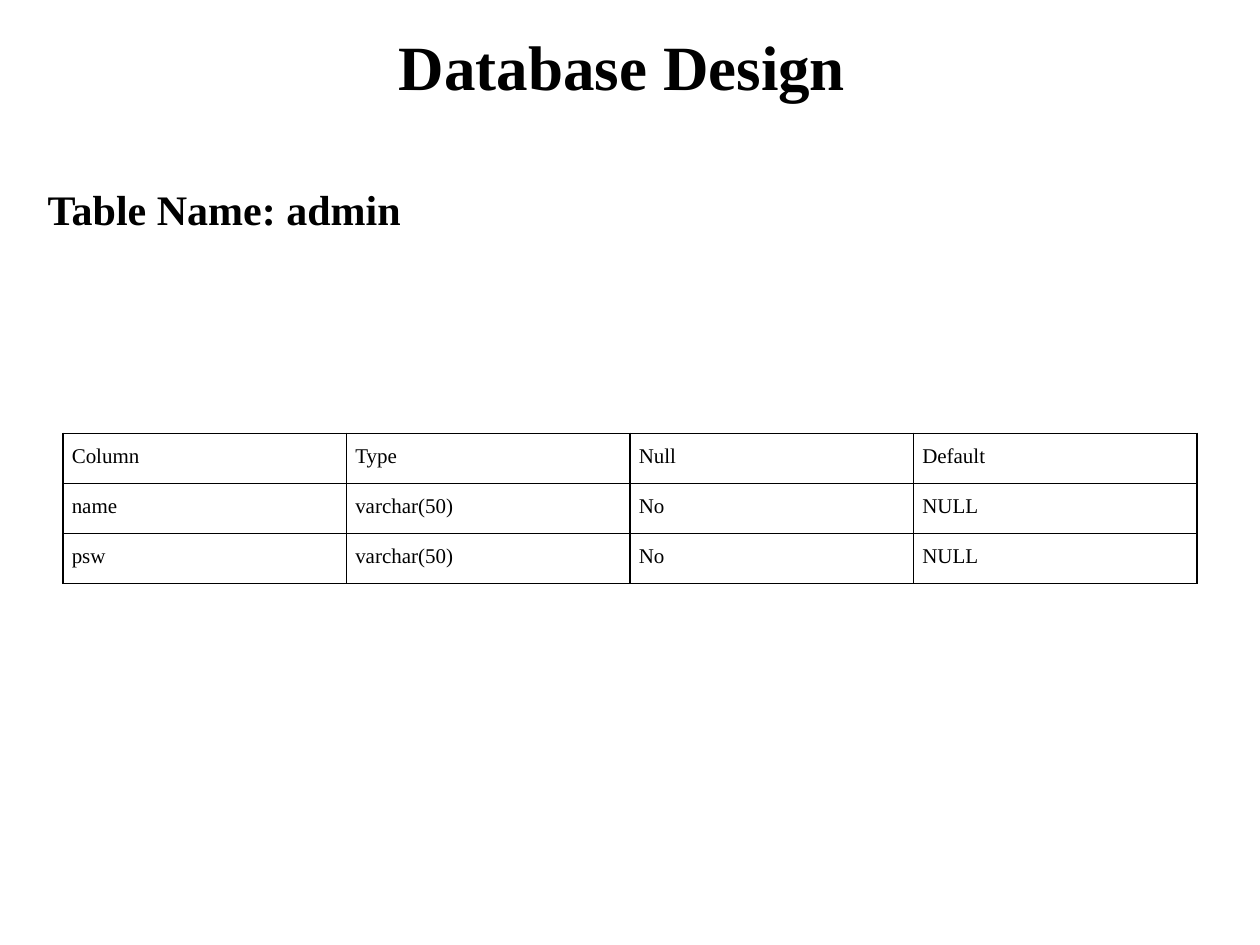
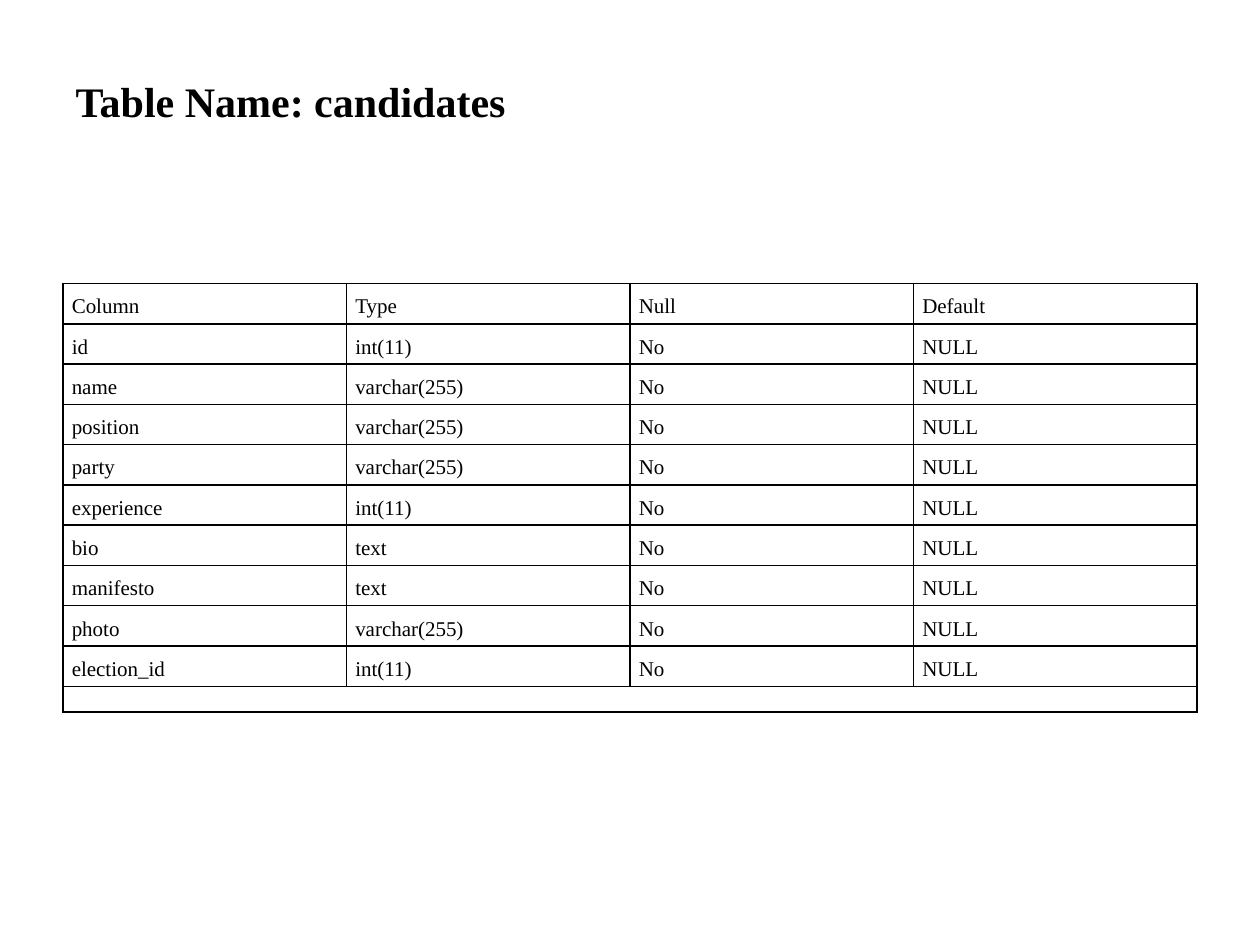
from lxml import etree
from pptx import Presentation
from pptx import util as u
from pptx.dml.color import RGBColor
from pptx.enum import text
from pptx.oxml import ns

# Shared style
FONT = "Times New Roman"
INK = "000000"
COLS, ROWS = 40, 30
HEAD = ["Column", "Type", "Null", "Default"]


def hue(code):
    return RGBColor.from_string(code)


class Deck:
    def __init__(self):
        self.prs = Presentation()
        self.prs.slide_width = u.Inches(10)
        self.prs.slide_height = u.Inches(7.5)
        self.slide = None

    def x(self, cols):
        return round(self.prs.slide_width * cols / COLS)

    def y(self, rows):
        return round(self.prs.slide_height * rows / ROWS)

    def box(self, left, top, wide, high):
        return self.x(left), self.y(top), self.x(wide), self.y(high)

    def page(self):
        self.slide = self.prs.slides.add_slide(self.prs.slide_layouts[5])

    def style(self, frame, words, size, bold, align):
        frame.text = words
        para = frame.paragraphs[0]
        para.alignment = align
        for run in para.runs:
            run.font.name = FONT
            run.font.size = u.Pt(size)
            run.font.bold = bold
            run.font.color.rgb = hue(INK)
        return para

    def title(self, words, area, size, align, anchor):
        shape = self.slide.shapes.title
        shape.left, shape.top, shape.width, shape.height = self.box(*area)
        frame = shape.text_frame
        frame.auto_size = text.MSO_AUTO_SIZE.NONE
        frame.vertical_anchor = anchor
        self.style(frame, words, size, True, align)
        return frame

    def label(self, words, area):
        frame = self.slide.shapes.add_textbox(*self.box(*area)).text_frame
        frame.word_wrap = False
        self.style(frame, words, 24, True, text.PP_ALIGN.LEFT)

    def edge(self, cell):
        props = cell._tc.get_or_add_tcPr()
        for side in "LRTB":
            line = etree.SubElement(props, ns.qn(f"a:ln{side}"), w=str(u.Pt(1)))
            fill = etree.SubElement(line, ns.qn("a:solidFill"))
            etree.SubElement(fill, ns.qn("a:srgbClr"), val=INK)

    def cell(self, cell, words):
        cell.margin_left = cell.margin_right = u.Inches(0.07)
        cell.margin_top = cell.margin_bottom = 0
        self.edge(cell)
        cell.fill.background()
        para = self.style(cell.text_frame, words, 12, False, text.PP_ALIGN.JUSTIFY)
        if words:
            para.line_spacing = 1.5
        else:
            etree.SubElement(para._p, ns.qn("a:endParaRPr"), sz="1200")

    def table(self, fields, top, step, foot=0):
        """Draw one row per field, plus a merged last row if foot is set."""
        data = [HEAD] + [[name, kind, "No", "NULL"] for name, kind in fields]
        steps = [step] * len(data)
        if foot:
            data.append([""] * len(HEAD))
            steps.append(foot)
        area = self.box(2, top, 36, sum(steps))
        grid = self.slide.shapes.add_table(len(data), len(HEAD), *area).table
        grid.first_row = grid.horz_banding = False
        for row, high in zip(grid.rows, steps):
            row.height = self.y(high)
        for r, row in enumerate(data):
            for c, words in enumerate(row):
                self.cell(grid.cell(r, c), words)
        if foot:
            last = len(data) - 1
            grid.cell(last, 0).merge(grid.cell(last, len(HEAD) - 1))


def main():
    deck = Deck()

    # Admin table
    deck.page()
    deck.title("Database Design ", (2, 0.52, 36, 3.12), 36,
               text.PP_ALIGN.CENTER, text.MSO_ANCHOR.MIDDLE)
    deck.table([("name", "varchar(50)"), ("psw", "varchar(50)")], 13.76, 1.59)
    deck.label("Table Name: admin", (1.12, 5.64, 12.12, 3.64))

    # Candidates table
    deck.page()
    frame = deck.title("Table Name: candidates", (2, 2.2, 14.6, 3.64), 24,
                       text.PP_ALIGN.LEFT, text.MSO_ANCHOR.TOP)
    frame.word_wrap = False
    fields = [
        ("id", "int(11)"),
        ("name", "varchar(255)"),
        ("position", "varchar(255)"),
        ("party", "varchar(255)"),
        ("experience", "int(11)"),
        ("bio", "text"),
        ("manifesto", "text"),
        ("photo", "varchar(255)"),
        ("election_id", "int(11)"),
    ]
    deck.table(fields, 9, 1.28, foot=0.8)

    deck.prs.save("out.pptx")


if __name__ == "__main__":
    main()
